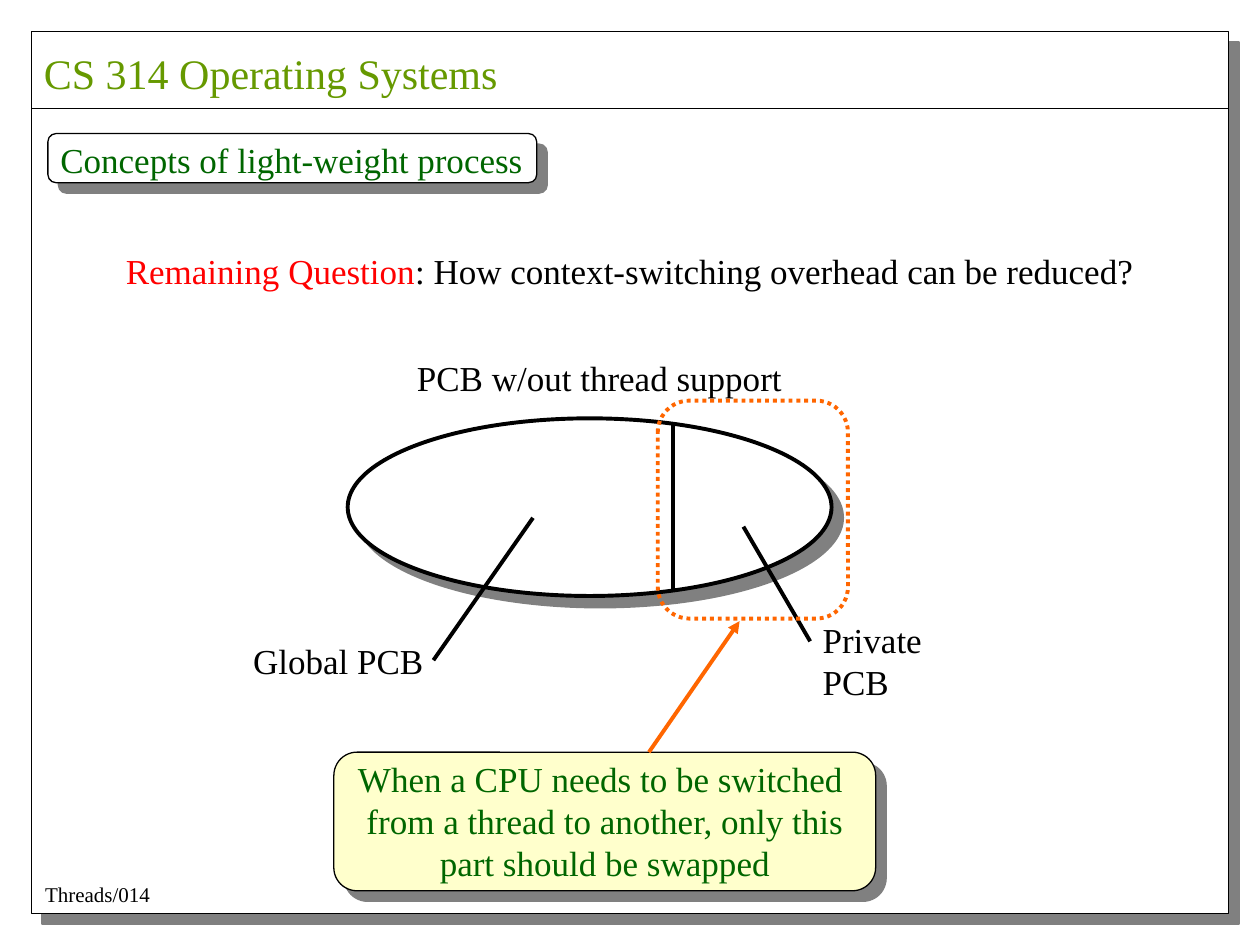
from dataclasses import dataclass

from lxml import etree
from pptx import Presentation
from pptx.dml.color import RGBColor
from pptx.enum.dml import MSO_LINE
from pptx.enum.shapes import MSO_CONNECTOR, MSO_SHAPE
from pptx.enum.text import MSO_AUTO_SIZE, PP_ALIGN
from pptx.oxml.ns import qn
from pptx.util import Inches, Pt

RECTANGLE = MSO_SHAPE.RECTANGLE
ROUNDED = MSO_SHAPE.ROUNDED_RECTANGLE
OVAL = MSO_SHAPE.OVAL
STRAIGHT = MSO_CONNECTOR.STRAIGHT
DOTTED = MSO_LINE.ROUND_DOT
LEFT = PP_ALIGN.LEFT
CENTER = PP_ALIGN.CENTER
GROW = MSO_AUTO_SIZE.SHAPE_TO_FIT_TEXT
CORNER = 0.167


@dataclass(frozen=True)
class Theme:
    font: str = "Times New Roman"
    title_size: float = 24
    body_size: float = 20
    footer_size: float = 12
    thin: float = 0.75
    thick: float = 2.25
    shadow_distance: float = 8.5
    ink: str = "000000"
    paper: str = "FFFFFF"
    shadow: str = "808080"
    title: str = "669900"
    heading: str = "006600"
    question: str = "FF0000"
    accent: str = "FF6600"
    note: str = "FFFFCC"


THEME = Theme()


def effect_list(shape):
    properties = shape._element.spPr
    for existing in properties.findall(qn("a:effectLst")):
        properties.remove(existing)
    return etree.SubElement(properties, qn("a:effectLst"))


def add_shadow(shape):
    shadow = etree.SubElement(
        effect_list(shape), qn("a:outerShdw"), blurRad="0",
        dist=str(Pt(THEME.shadow_distance)), dir=str(45 * 60000),
        algn="ctr", rotWithShape="0")
    etree.SubElement(shadow, qn("a:srgbClr"), val=THEME.shadow)


def style_line(line, color, width):
    line.color.rgb = RGBColor.from_string(color)
    line.width = Pt(width)


def add_panel(shapes, kind, box, fill=THEME.paper, color=THEME.ink, width=THEME.thin):
    shape = shapes.add_shape(kind, *map(Inches, box))
    if kind == ROUNDED:
        shape.adjustments[0] = CORNER
    style_line(shape.line, color, width)
    if fill:
        shape.fill.solid()
        shape.fill.fore_color.rgb = RGBColor.from_string(fill)
        add_shadow(shape)
    else:
        shape.fill.background()
        shape.shadow.inherit = False
    return shape


def add_line(shapes, start, end, color=THEME.ink, width=THEME.thick, arrow=False):
    line = shapes.add_connector(STRAIGHT, *map(Inches, (*start, *end)))
    style_line(line.line, color, width)
    effect_list(line)
    if arrow:
        etree.SubElement(line.line._get_or_add_ln(), qn("a:tailEnd"), type="triangle")


def add_text(shapes, box, *paragraphs, size=THEME.body_size, color=THEME.ink, align=LEFT):
    frame = shapes.add_textbox(*map(Inches, box)).text_frame
    frame.word_wrap = False
    frame.auto_size = GROW
    for index, content in enumerate(paragraphs):
        paragraph = frame.add_paragraph() if index else frame.paragraphs[0]
        paragraph.alignment = align
        runs = [(content, color)] if isinstance(content, str) else content
        for text, run_color in runs:
            run = paragraph.add_run()
            run.text = text
            run.font.name = THEME.font
            run.font.size = Pt(size)
            run.font.color.rgb = RGBColor.from_string(run_color)


def add_page_frame(shapes, box):
    left, top, width, height = box
    rule = top + 0.61
    add_panel(shapes, RECTANGLE, box)
    add_line(shapes, (left, rule), (left + width, rule), width=THEME.thin)
    add_text(shapes, (left, top + 0.08, 3.8, 0.5), "CS 314 Operating Systems",
             size=THEME.title_size, color=THEME.title)
    add_text(shapes, (left + 0.01, top + height - 0.3, 1.03, 0.3), "Threads/014",
             size=THEME.footer_size)


def add_heading(shapes, box):
    left, top, width, height = box
    group = shapes.add_group_shape().shapes
    add_panel(group, ROUNDED, box)
    add_text(group, (left, top - 0.01, width, 0.44), "Concepts of light-weight process",
             color=THEME.heading)


def add_control_block(shapes, box):
    left, top, width, height = box
    divider = left + 2.58
    add_panel(shapes, OVAL, box, width=THEME.thick)
    add_text(shapes, (left + 0.45, top - 0.54, 3.1, 0.44), "PCB w/out thread support")
    add_text(shapes, (left - 0.85, top + 1.71, 1.55, 0.44), "Global PCB")
    add_line(shapes, (left + 0.68, top + 1.92), (left + 1.47, top + 0.79))
    add_line(shapes, (divider, top + 0.04), (divider, top + height - 0.05))
    add_text(shapes, (left + 3.67, top + 1.54, 1.58, 0.44), "Private PCB")
    add_line(shapes, (left + 3.67, top + 1.77), (left + 3.14, top + 0.86))


def add_swap_note(shapes, box, target):
    left, top, width, height = box
    target_left, target_top, target_width, target_height = target
    frame = add_panel(shapes, ROUNDED, target, fill=None, color=THEME.accent,
                      width=THEME.thick)
    frame.line.dash_style = DOTTED
    add_panel(shapes, ROUNDED, box, fill=THEME.note)
    add_text(shapes, (left + 0.09, top - 0.01, width - 0.18, height),
             "When a CPU needs to be switched ",
             "from a thread to another, only this",
             "part should be swapped", color=THEME.heading, align=CENTER)
    add_line(shapes, (left + 2.5, top),
             (target_left + 0.65, target_top + target_height + 0.02),
             color=THEME.accent, arrow=True)


def main():
    presentation = Presentation()
    presentation.slide_width = Inches(10)
    presentation.slide_height = Inches(7.5)
    slide = presentation.slides.add_slide(presentation.slide_layouts[6])
    shapes = slide.shapes
    add_page_frame(shapes, (0.25, 0.25, 9.5, 7))
    add_heading(shapes, (0.38, 1.06, 3.88, 0.39))
    add_control_block(shapes.add_group_shape().shapes, (2.76, 3.32, 3.84, 1.41))
    add_swap_note(shapes.add_group_shape().shapes, (2.65, 5.97, 4.3, 1.1),
                  target=(5.22, 3.18, 1.51, 1.73))
    add_text(shapes, (0.9, 1.93, 8.2, 0.44),
             [("Remaining Question", THEME.question),
              (": How context-switching overhead can be reduced?", THEME.ink)])
    presentation.save("out.pptx")


if __name__ == "__main__":
    main()
